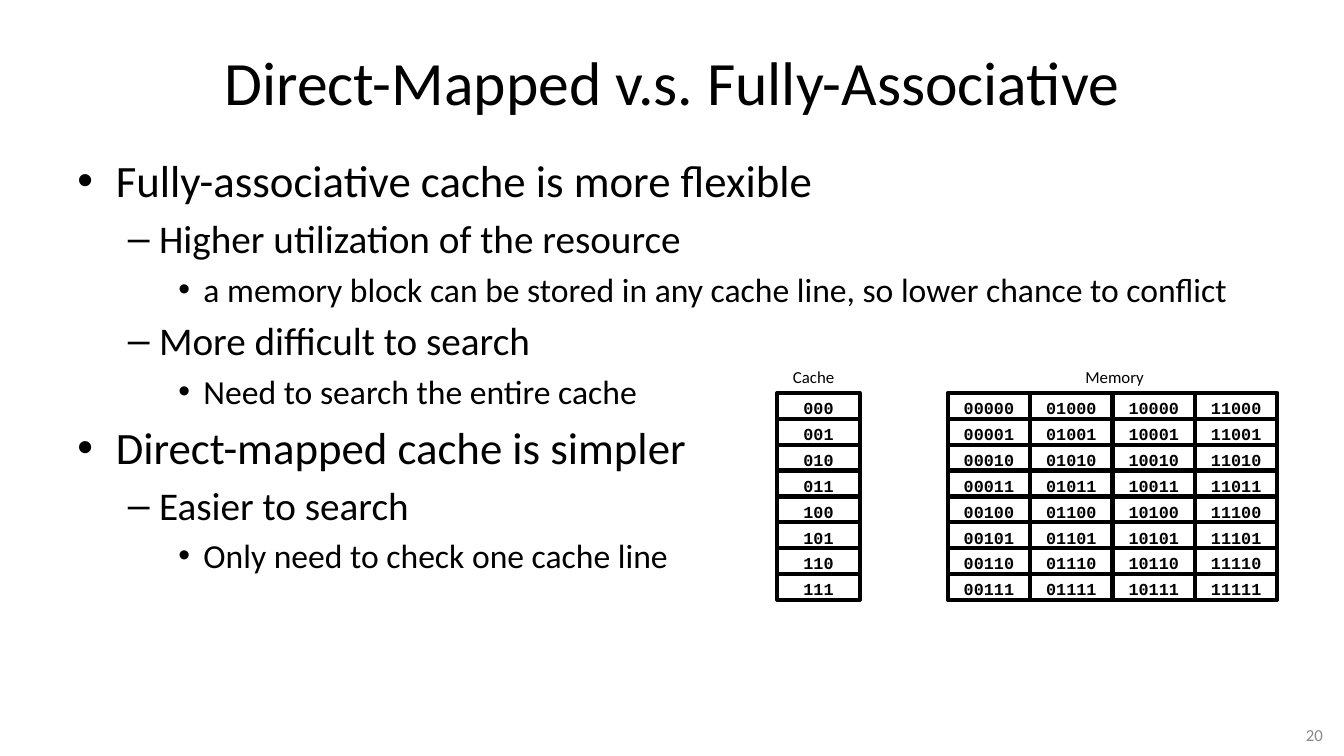
from dataclasses import dataclass

from lxml import etree
from pptx import Presentation
from pptx import util as u
from pptx.dml.color import RGBColor
from pptx.enum import shapes, text
from pptx.oxml import ns


@dataclass(frozen=True)
class Theme:
    body_font: str = "Calibri"
    code_font: str = "Courier New"
    ink: str = "000000"
    muted: str = "898989"
    title_size: int = 44
    small_size: int = 12
    cell_line: int = 3


@dataclass(frozen=True)
class Level:
    size: int
    margin: float
    hanging: float
    bullet: str


@dataclass(frozen=True)
class Point:
    level: int
    words: str


@dataclass(frozen=True)
class Grid:
    label: str
    label_left: float
    label_width: float
    left: float
    columns: int
    digits: int


THEME = Theme()
LEVELS = (Level(32, 0.38, 0.38, "•"), Level(28, 0.81, 0.31, "–"), Level(24, 1.25, 0.25, "•"))
POINTS = (
    Point(0, "Fully-associative cache is more flexible"),
    Point(1, "Higher utilization of the resource"),
    Point(2, "a memory block can be stored in any cache line, so lower chance to conflict"),
    Point(1, "More difficult to search"),
    Point(2, "Need to search the entire cache"),
    Point(0, "Direct-mapped cache is simpler"),
    Point(1, "Easier to search"),
    Point(2, "Only need to check one cache line"),
)
GRIDS = (
    Grid("Cache", 7.76, 0.62, 7.71, columns=1, digits=3),
    Grid("Memory", 10.66, 0.79, 9.4, columns=4, digits=5),
)
ROWS = 8
GRID_TOP, GRID_HEIGHT = 3.9, 2.05
ROW_HEIGHT = GRID_HEIGHT / ROWS
COLUMN_WIDTH = 3.27 / 4
LABEL_TOP, LABEL_HEIGHT = 3.59, 0.3


def write(para, words: str, *, size: int = THEME.small_size, font: str = THEME.body_font,
          color: str = THEME.ink, bold: bool = False, align=text.PP_ALIGN.CENTER) -> None:
    para.alignment = align
    span = para.add_run()
    span.text = words
    span.font.size = u.Pt(size)
    span.font.name = font
    span.font.bold = bold
    span.font.color.rgb = RGBColor.from_string(color)


def add_box(parent, left: float, top: float, width: float, height: float, *,
            anchor=text.MSO_ANCHOR.TOP, wrap: bool = True):
    box = parent.add_textbox(*map(u.Inches, (left, top, width, height)))
    box.text_frame.word_wrap = wrap
    box.text_frame.vertical_anchor = anchor
    return box.text_frame


def set_bullet(para, level: Level) -> None:
    """Give the paragraph its hanging bullet and 20% space before."""
    properties = para._p.get_or_add_pPr()
    properties.set("marL", str(u.Inches(level.margin)))
    properties.set("indent", str(-u.Inches(level.hanging)))
    before = etree.SubElement(properties, ns.qn("a:spcBef"))
    etree.SubElement(before, ns.qn("a:spcPct"), val="20000")
    etree.SubElement(properties, ns.qn("a:buFont"), typeface="Arial")
    etree.SubElement(properties, ns.qn("a:buChar"), char=level.bullet)


def add_points(page) -> None:
    frame = add_box(page.shapes, 0.67, 1.47, 12, 5.51)
    for index, point in enumerate(POINTS):
        para = frame.add_paragraph() if index else frame.paragraphs[0]
        level = LEVELS[point.level]
        para.level = point.level
        set_bullet(para, level)
        write(para, point.words, size=level.size, align=text.PP_ALIGN.LEFT)


def add_cell(parent, left: float, top: float, address: str) -> None:
    cell = parent.add_shape(shapes.MSO_SHAPE.RECTANGLE,
                            *map(u.Inches, (left, top, COLUMN_WIDTH, ROW_HEIGHT)))
    cell.shadow.inherit = False
    cell.fill.background()
    cell.line.color.rgb = RGBColor.from_string(THEME.ink)
    cell.line.width = u.Pt(THEME.cell_line)
    frame = cell.text_frame
    frame.word_wrap = False
    frame.vertical_anchor = text.MSO_ANCHOR.TOP
    write(frame.paragraphs[0], address, font=THEME.code_font, bold=True)


def add_grid(page, grid: Grid) -> None:
    """Draw a labelled grid whose binary addresses count down each column."""
    group = page.shapes.add_group_shape().shapes
    for address in range(grid.columns * ROWS):
        column, row = divmod(address, ROWS)
        add_cell(group, grid.left + column * COLUMN_WIDTH, GRID_TOP + row * ROW_HEIGHT,
                 f"{address:0{grid.digits}b}")
    frame = add_box(group, grid.label_left, LABEL_TOP, grid.label_width, LABEL_HEIGHT, wrap=False)
    frame.auto_size = text.MSO_AUTO_SIZE.SHAPE_TO_FIT_TEXT
    write(frame.paragraphs[0], grid.label)


def main() -> None:
    deck = Presentation()
    deck.slide_width, deck.slide_height = u.Inches(13.33), u.Inches(7.5)
    page = deck.slides.add_slide(deck.slide_layouts[6])

    title = add_box(page.shapes, 0.67, 0.3, 12, 1.01, anchor=text.MSO_ANCHOR.MIDDLE)
    write(title.paragraphs[0], "Direct-Mapped v.s. Fully-Associative", size=THEME.title_size)
    add_points(page)
    number = add_box(page.shapes, 11.79, 7.14, 1.43, 0.29, anchor=text.MSO_ANCHOR.MIDDLE)
    write(number.paragraphs[0], "20", color=THEME.muted, align=text.PP_ALIGN.RIGHT)
    for grid in GRIDS:
        add_grid(page, grid)

    deck.save("out.pptx")


if __name__ == "__main__":
    main()
